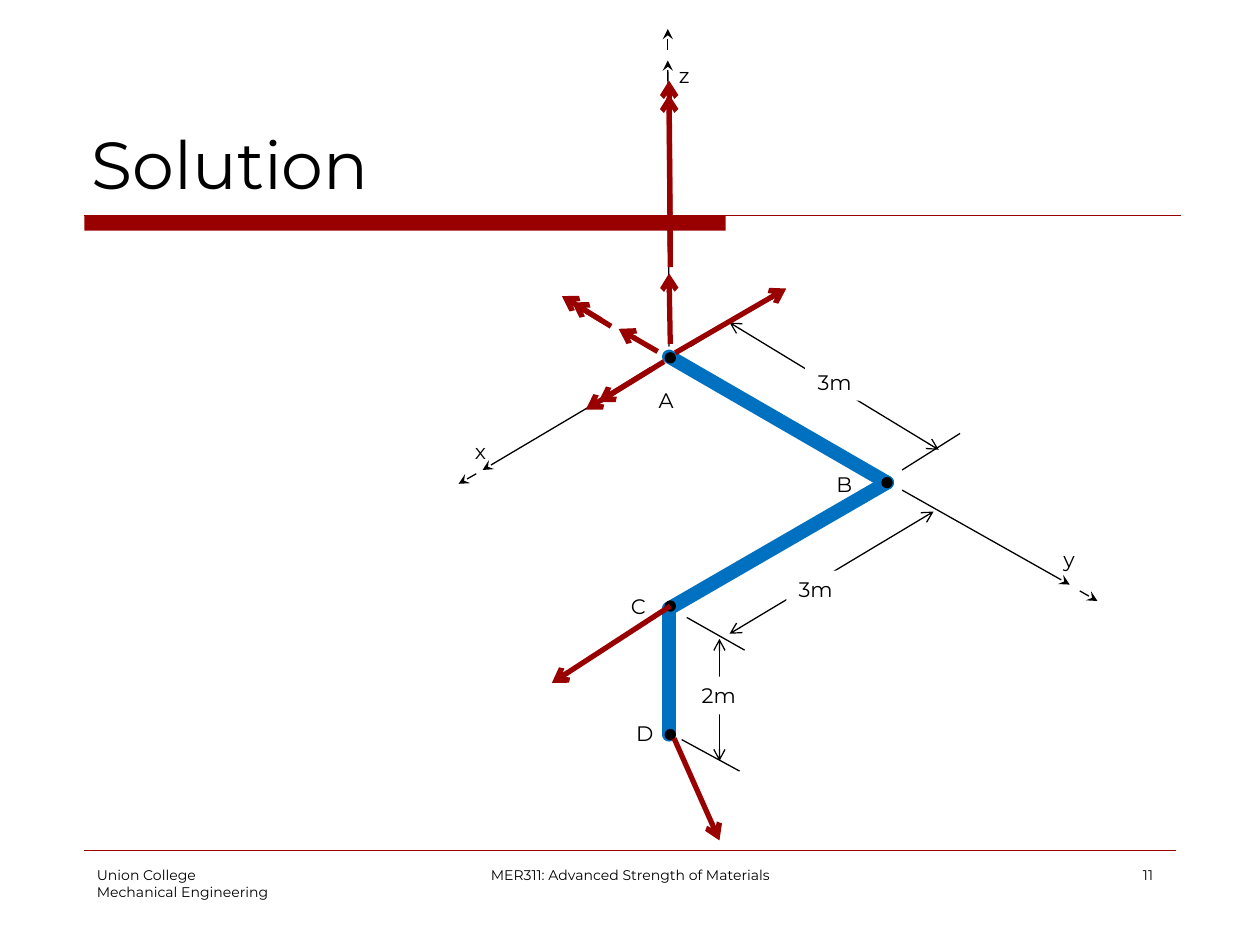
from typing import NamedTuple

from lxml.etree import SubElement
from pptx import Presentation
from pptx.dml.color import RGBColor
from pptx.enum.shapes import MSO_CONNECTOR, MSO_SHAPE
from pptx.enum.text import MSO_ANCHOR, PP_ALIGN
from pptx.oxml.ns import qn
from pptx.util import Inches, Pt

BLACK = RGBColor(0x00, 0x00, 0x00)
WHITE = RGBColor(0xFF, 0xFF, 0xFF)
RED = RGBColor(0x99, 0x00, 0x00)
BLUE = RGBColor(0x00, 0x70, 0xC0)
FONT = "Montserrat"
DOT = 0.08
LABEL_HEIGHT = 0.3


class Point(NamedTuple):
    x: float
    y: float


class Segment(NamedTuple):
    start: Point
    end: Point


class Pen(NamedTuple):
    color: RGBColor
    width: float
    start_arrow: str = ""
    end_arrow: str = ""
    round_cap: bool = False


class Label(NamedTuple):
    text: str
    left: float
    top: float
    width: float


def segment(x1: float, y1: float, x2: float, y2: float) -> Segment:
    return Segment(Point(x1, y1), Point(x2, y2))


MEMBER = Pen(BLUE, 8, round_cap=True)
AXIS = Pen(BLACK, 0.75, end_arrow="stealth")
EXTENSION = Pen(BLACK, 0.75)
DIMENSION = Pen(BLACK, 0.75, "arrow", "arrow")
VECTOR = Pen(RED, 3, end_arrow="arrow")

A, B, C, D = Point(5.31, 2.83), Point(7.04, 3.83), Point(5.31, 4.83), Point(5.31, 5.83)
MEMBERS = [Segment(A, B), Segment(C, B), Segment(C, D)]
AXES = [
    segment(5.31, 2.75, 5.3, 0.48),
    segment(7.16, 3.89, 8.49, 4.64),
    segment(5.18, 2.93, 3.83, 3.73),
    segment(5.3, 0.4, 5.3, 0.23),
    segment(8.57, 4.69, 8.71, 4.77),
    segment(3.78, 3.76, 3.64, 3.84),
]
JOINT_CENTERS = [Point(5.32, 5.83), Point(5.32, 2.84), Point(7.04, 3.83), Point(5.32, 4.81)]
AXIS_AND_JOINT_LABELS = [
    Label("x", 3.67, 3.43, 0.31),
    Label("y", 8.34, 4.29, 0.31),
    Label("z", 5.29, 0.45, 0.29),
    Label("A", 5.13, 3.03, 0.33),
    Label("B", 6.54, 3.69, 0.33),
    Label("C", 4.91, 4.66, 0.33),
    Label("D", 4.95, 5.67, 0.33),
]
LOADS = [segment(5.35, 5.86, 5.71, 6.67), segment(5.32, 4.81, 4.38, 5.42)]
EXTENSIONS = [
    segment(5.48, 2.75, 5.94, 2.46),
    segment(7.16, 3.73, 7.62, 3.44),
    segment(5.45, 4.9, 5.91, 5.16),
    segment(5.41, 5.87, 5.87, 6.12),
]
DIMENSIONS = [
    segment(5.79, 2.56, 7.45, 3.57),
    segment(5.79, 5.03, 7.41, 4.06),
    segment(5.71, 5.07, 5.71, 6.04),
]
LENGTH_LABELS = [
    Label("3m", 6.39, 2.88, 0.48),
    Label("3m", 6.24, 4.53, 0.48),
    Label("2m", 5.47, 5.37, 0.48),
]
REACTIONS = [
    segment(5.36, 2.8, 6.24, 2.29),
    segment(5.22, 2.79, 4.91, 2.61),
    segment(5.32, 2.73, 5.31, 2.17),
    segment(4.85, 2.59, 4.54, 2.4),
    segment(4.77, 2.54, 4.46, 2.35),
    segment(5.32, 2.12, 5.31, 0.75),
    segment(5.32, 2, 5.31, 0.64),
    segment(5.27, 2.87, 4.75, 3.19),
    segment(5.17, 2.93, 4.65, 3.25),
]


def draw_lines(slide, segments: list[Segment], pen: Pen) -> None:
    for start, end in segments:
        connector = slide.shapes.add_connector(
            MSO_CONNECTOR.STRAIGHT, *(Inches(v) for v in (*start, *end))
        )
        connector.line.color.rgb = pen.color
        connector.line.width = Pt(pen.width)
        outline = connector.line._get_or_add_ln()
        if pen.round_cap:
            outline.set("cap", "rnd")
        for tag, arrow in (("a:headEnd", pen.start_arrow), ("a:tailEnd", pen.end_arrow)):
            if arrow:
                SubElement(outline, qn(tag), type=arrow)
        SubElement(connector._element.spPr, qn("a:effectLst"))


def draw_shape(slide, kind: MSO_SHAPE, left: float, top: float,
               width: float, height: float, color: RGBColor):
    shape = slide.shapes.add_shape(kind, *(Inches(v) for v in (left, top, width, height)))
    shape.shadow.inherit = False
    shape.fill.solid()
    shape.fill.fore_color.rgb = color
    shape.line.fill.background()
    return shape


def draw_joint(slide, center: Point) -> None:
    dot = draw_shape(slide, MSO_SHAPE.OVAL, center.x - DOT / 2, center.y - DOT / 2,
                     DOT, DOT, BLACK)
    dot.line.color.rgb = BLACK
    dot.line.width = Pt(0.75)


def draw_text(slide, label: Label, height: float, size: float,
              align: PP_ALIGN = PP_ALIGN.LEFT, wrap: bool = True):
    box = slide.shapes.add_textbox(Inches(label.left), Inches(label.top),
                                   Inches(label.width), Inches(height))
    frame = box.text_frame
    frame.word_wrap = wrap
    frame.text = label.text
    for paragraph in frame.paragraphs:
        paragraph.alignment = align
        paragraph.font.name = FONT
        paragraph.font.size = Pt(size)
        paragraph.font.color.rgb = BLACK
    return box


def draw_labels(slide, labels: list[Label], masks_line: bool = False) -> None:
    for label in labels:
        box = draw_text(slide, label, LABEL_HEIGHT, 12, wrap=False)
        if masks_line:
            box.fill.solid()
            box.fill.fore_color.rgb = WHITE


def draw_frame(slide) -> None:
    """Draw the title, its rule and the footer."""
    draw_shape(slide, MSO_SHAPE.RECTANGLE, 0.67, 1.71, 5.09, 0.12, RED)
    draw_lines(slide, [segment(0.67, 1.71, 9.37, 1.71)], Pen(RED, 0.75))
    draw_lines(slide, [segment(0.67, 6.75, 9.33, 6.75)], Pen(RED, 0.25))
    title = draw_text(slide, Label("Solution", 0.63, 0.33, 8.75), 1.33, 38)
    title.text_frame.vertical_anchor = MSO_ANCHOR.BOTTOM
    footers = [
        (Label("Union College\nMechanical Engineering", 0.67, 6.83, 2.08), PP_ALIGN.LEFT),
        (Label("MER311: Advanced Strength of Materials", 3.42, 6.83, 3.17), PP_ALIGN.CENTER),
        (Label("11", 7.17, 6.83, 2.08), PP_ALIGN.RIGHT),
    ]
    for label, align in footers:
        draw_text(slide, label, 0.5, 8, align)


def main() -> None:
    prs = Presentation()
    prs.slide_width, prs.slide_height = Inches(10), Inches(7.5)
    slide = prs.slides.add_slide(prs.slide_layouts[6])
    draw_frame(slide)
    draw_lines(slide, MEMBERS, MEMBER)
    draw_lines(slide, AXES, AXIS)
    for center in JOINT_CENTERS:
        draw_joint(slide, center)
    draw_labels(slide, AXIS_AND_JOINT_LABELS)
    draw_lines(slide, LOADS, VECTOR)
    draw_lines(slide, EXTENSIONS, EXTENSION)
    draw_lines(slide, DIMENSIONS, DIMENSION)
    draw_labels(slide, LENGTH_LABELS, masks_line=True)
    draw_lines(slide, REACTIONS, VECTOR)
    prs.save("out.pptx")


if __name__ == "__main__":
    main()
